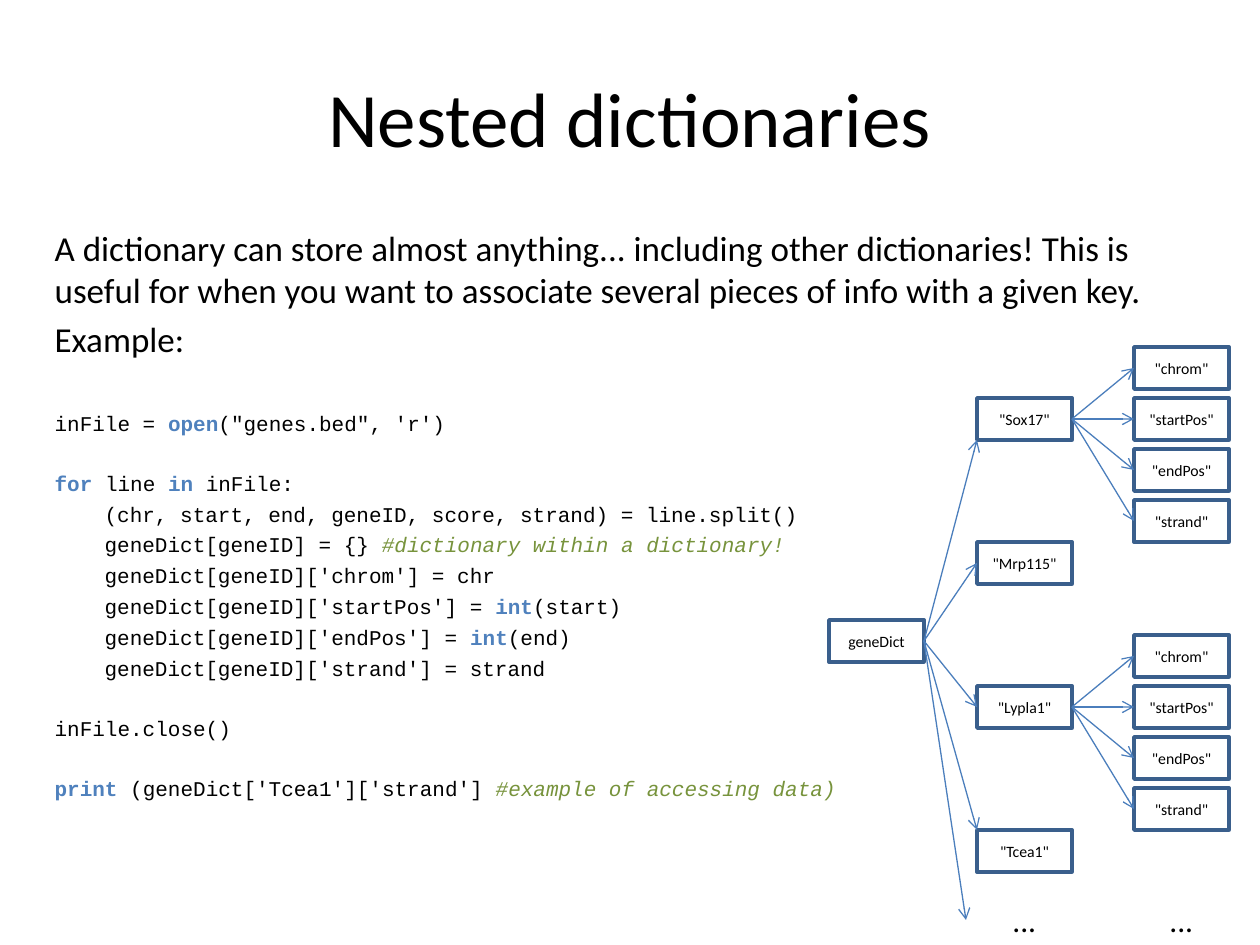
from lxml import etree
from pptx import Presentation
from pptx.dml.color import RGBColor
from pptx.enum.shapes import MSO_CONNECTOR, MSO_SHAPE
from pptx.enum.text import MSO_ANCHOR, MSO_AUTO_SIZE, PP_ALIGN
from pptx.oxml.ns import qn
from pptx.util import Pt

PX = 914400 // 126
RECT, LINE = MSO_SHAPE.RECTANGLE, MSO_CONNECTOR.STRAIGHT
CENTER, MIDDLE, FIXED = PP_ALIGN.CENTER, MSO_ANCHOR.MIDDLE, MSO_AUTO_SIZE.NONE
LEFT, RIGHT = 1, 3

BLACK = RGBColor(0x00, 0x00, 0x00)
BLUE = RGBColor(0x4F, 0x81, 0xBD)
GREEN = RGBColor(0x77, 0x93, 0x3C)
EDGE = RGBColor(0x3A, 0x5F, 0x8C)
ARROW = RGBColor(0x4B, 0x7E, 0xBC)

SANS, MONO = "Calibri", "Courier New"
WORD = {"color": BLUE, "bold": True}
NOTE = {"color": GREEN, "italic": True}
TAB = 50
BOX_W, BOX_H = 95, 42
KEY_X, LEAF_X = 977, 1134
KEY_Y, KEY_GAP, LEAF_GAP = 398, 144, 51

INTRO = ("A dictionary can store almost anything... including other dictionaries! "
         "This is useful for when you want to associate several pieces of info "
         "with a given key.")

# Each code line: indent level, space before in points, runs
CODE = [
    (0, 29, [("inFile = ", {}), ("open", WORD), ("(\"genes.bed\", 'r')", {})]),
    (0, 20, [("for", WORD), (" line ", {}), ("in ", WORD), ("inFile:", {})]),
    (1, 3.2, [("(chr, start, end, geneID, score, strand) = line.split()", {})]),
    (1, 3.2, [("geneDict[geneID] = {} ", {}),
              ("#dictionary within a dictionary!", NOTE)]),
    (1, 3.2, [("geneDict[geneID]['chrom'] = chr", {})]),
    (1, 3.2, [("geneDict[geneID]['startPos'] = ", {}), ("int", WORD), ("(start)", {})]),
    (1, 3.2, [("geneDict[geneID]['endPos'] = ", {}), ("int", WORD), ("(end)", {})]),
    (1, 3.2, [("geneDict[geneID]['strand'] = strand", {})]),
    (0, 20, [("inFile.close()", {})]),
    (0, 20, [("print ", WORD), ("(geneDict['Tcea1']['strand'] ", {}),
             ("#example of accessing data)", NOTE)]),
]
KEYS = ['"Sox17"', '"Mrp115"', '"Lypla1"', '"Tcea1"']
FIELDS = ['"chrom"', '"startPos"', '"endPos"', '"strand"']
NESTED = (0, 2)


class Deck:
    """Current slide plus the style of its elements."""

    def __init__(self):
        self.file = Presentation()
        self.file.slide_width, self.file.slide_height = 1260 * PX, 945 * PX
        self.slide = self.file.slides.add_slide(self.file.slide_layouts[1])
        self.shapes = self.slide.shapes

    def place(self, shape, x, y, w, h):
        shape.left, shape.top, shape.width, shape.height = (n * PX for n in (x, y, w, h))
        return shape.text_frame

    def run(self, para, text, size, font=SANS, color=BLACK, bold=False, italic=False):
        run = para.add_run()
        run.text = text
        style = run.font
        style.name, style.size = font, Pt(size)
        style.bold, style.italic = bold, italic
        style.color.rgb = color

    def title(self, text, *area):
        frame = self.place(self.shapes.title, *area)
        frame.vertical_anchor = MIDDLE
        para = frame.paragraphs[0]
        para.alignment = CENTER
        self.run(para, text, 44)

    def body(self, *area):
        frame = self.place(self.slide.placeholders[1], *area)
        frame.auto_size = FIXED
        return frame

    def para(self, frame, runs, size, font, before, indent=0):
        """Add a paragraph without a bullet, using the first one if it is free."""
        para = frame.paragraphs[0]
        if para.runs:
            para = frame.add_paragraph()
        para.space_before = Pt(before)
        props = para._p.get_or_add_pPr()
        props.set("marL", str(indent * PX))
        props.set("indent", "0")
        etree.SubElement(props, qn("a:buNone"))
        for text, style in runs:
            self.run(para, text, size, font, **style)

    def box(self, text, x, y):
        box = self.shapes.add_shape(RECT, x * PX, y * PX, BOX_W * PX, BOX_H * PX)
        box.shadow.inherit = False
        box.fill.background()
        box.line.color.rgb, box.line.width = EDGE, Pt(2)
        frame = box.text_frame
        frame.vertical_anchor = MIDDLE
        para = frame.paragraphs[0]
        para.alignment = CENTER
        self.run(para, text, 9)
        return box

    def dots(self, x, y):
        frame = self.shapes.add_textbox(x * PX, y * PX, 49 * PX, 50 * PX).text_frame
        frame.word_wrap = False
        self.run(frame.paragraphs[0], "...", 18)

    def arrow(self, start, end=None, point=(0, 0)):
        """Link the right side of start to the left side of end, or to a point."""
        x, y = point
        line = self.shapes.add_connector(LINE, 0, 0, x * PX, y * PX)
        line.begin_connect(start, RIGHT)
        if end is not None:
            line.end_connect(end, LEFT)
        line.line.color.rgb, line.line.width = ARROW, Pt(0.75)
        etree.SubElement(line.line._get_or_add_ln(), qn("a:tailEnd"), type="arrow")
        etree.SubElement(line._element.spPr, qn("a:effectLst"))


def main():
    deck = Deck()
    deck.title("Nested dictionaries", 63, 38, 1134, 158)

    body = deck.body(42, 220, 1134, 624)
    deck.para(body, [(INTRO, {})], 20, SANS, 0)
    deck.para(body, [("Example:", {})], 20, SANS, 4)
    for level, before, runs in CODE:
        deck.para(body, runs, 12, MONO, before, level * TAB)

    root = deck.box("geneDict", 829, 620)
    tops = [KEY_Y + KEY_GAP * i for i in range(len(KEYS))]
    keys = [deck.box(name, KEY_X, top) for name, top in zip(KEYS, tops)]

    deck.arrow(root, point=(KEY_X, tops[0] + BOX_H))
    for key in keys[1:3]:
        deck.arrow(root, key)
    deck.arrow(root, point=(KEY_X, tops[3]))
    deck.arrow(root, point=(966, 920))

    for i in NESTED:
        for j, name in enumerate(FIELDS):
            leaf = deck.box(name, LEAF_X, tops[i] + LEAF_GAP * (j - 1))
            deck.arrow(keys[i], leaf)

    for x in (KEY_X, LEAF_X):
        deck.dots(x + 23, 895)

    deck.file.save("out.pptx")


if __name__ == "__main__":
    main()
